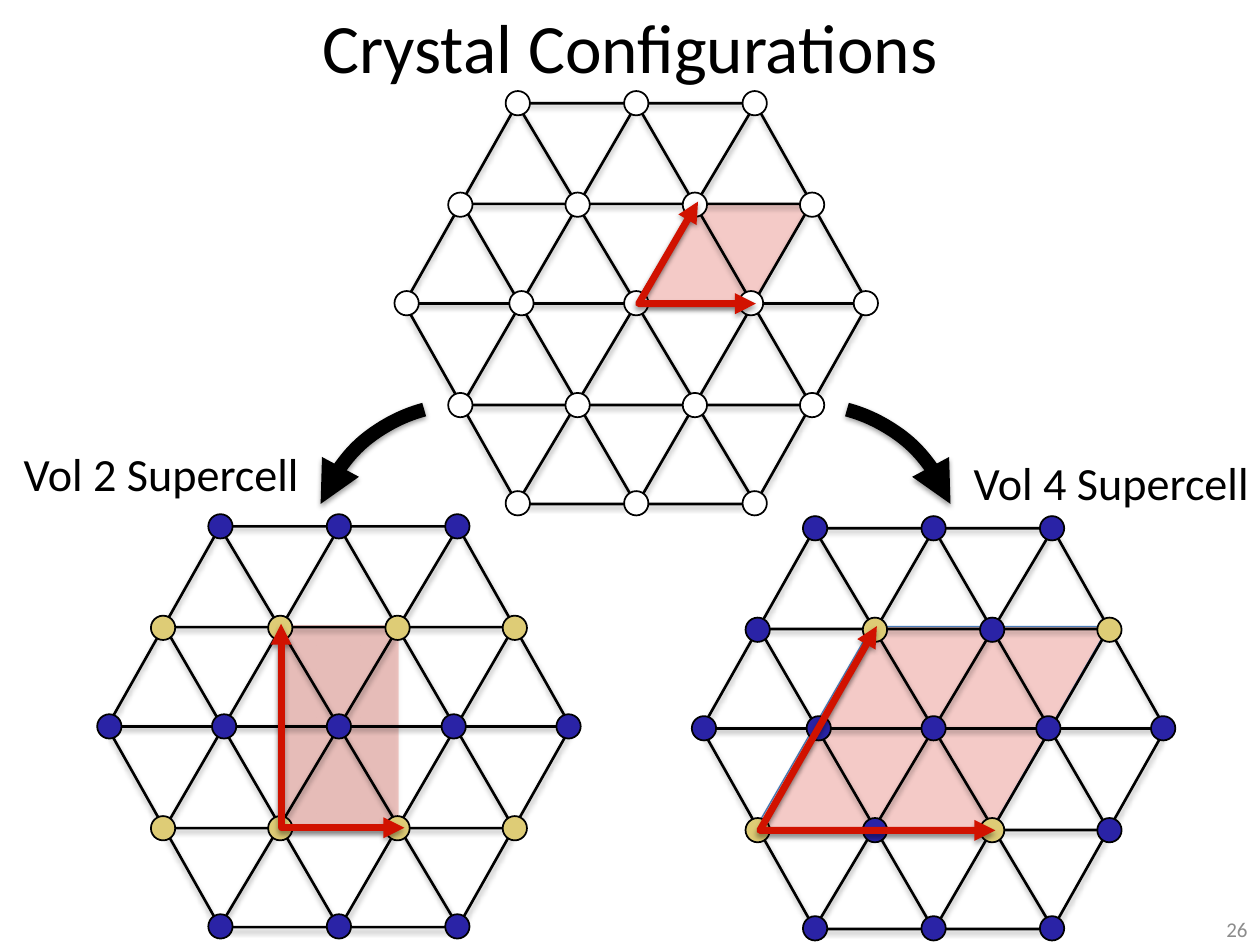
import pptx
import pptx.util
from pptx.dml.color import RGBColor
from pptx.enum.shapes import MSO_CONNECTOR, MSO_SHAPE
from pptx.enum.text import MSO_ANCHOR, PP_ALIGN
from pptx.oxml.ns import qn
from lxml import etree

Pt = pptx.util.Pt
BLACK = RGBColor(0x00, 0x00, 0x00)
WHITE = RGBColor(0xFF, 0xFF, 0xFF)
GRAY = RGBColor(0x8C, 0x8C, 0x8C)
RED = RGBColor(0xD1, 0x12, 0x00)
STEEL = RGBColor(0x4B, 0x7E, 0xBC)
ATOMS = {"W": WHITE, "B": RGBColor(0x2A, 0x23, 0xA6), "Y": RGBColor(0xDE, 0xCC, 0x76)}

# Content: lattices as (left, top, atom rows)
RIGHT_LATTICE = (401, 301.9, ["BBB", "BYBY", "BBBBB", "YBYB", "BBB"])
LEFT_LATTICE = (61.2, 300.8, ["BBB", "YYYY", "BBBBB", "YYYY", "BBB"])
TOP_LATTICE = (231.1, 59, ["WWW", "WWWW", "WWWWW", "WWWW", "WWW"])

# Unit cells: preset, left, top, width, height, line colour
CELLS = [
    (MSO_SHAPE.RECTANGLE, 158.6, 357.2, 69.2, 115.8, None),
    (MSO_SHAPE.PARALLELOGRAM, 365.5, 116.6, 98, 56.2, STEEL),
    (MSO_SHAPE.PARALLELOGRAM, 432, 358, 201.6, 115, STEEL),
]
# Lattice vectors: tip, shared origin, tip
VECTORS = [
    [(398.9, 115.2), (365, 173.5), (432, 173.5)],
    [(501.1, 357.8), (434.2, 474.5), (568.8, 474.5)],
    [(160.6, 356.4), (160.6, 473), (231.1, 473)],
]
# Curved arrows: left, mirrored
CURVES = [(374.4, False), (177.8, True)]
# Text: wording, left, top, width, height, size, colour, alignment
TITLE = ("Crystal Configurations", 0, 1.4, 720, 49.7, 39.6, BLACK, PP_ALIGN.CENTER)
NUMBER = ("26", 570.2, 522, 149.8, 18, 12, GRAY, PP_ALIGN.RIGHT)
LABELS = [
    ("Vol 2 Supercell", 0, 245.5, 184.3, 49.7, 26.4, BLACK, PP_ALIGN.CENTER),
    ("Vol 4 Supercell", 542.9, 250.6, 184.3, 49.7, 26.4, BLACK, PP_ALIGN.CENTER),
]

# Lattice geometry
HEX_WIDTH, HEX_HEIGHT = 265, 229
ROW_OFFSETS = [0, 58, 114.3, 172.5, 228.6]
PITCHES = {3: 67.7, 4: 67, 5: 65.6}
ATOM = 13.9

presentation = pptx.Presentation()
presentation.slide_width, presentation.slide_height = Pt(720), Pt(540)
slide = presentation.slides.add_slide(presentation.slide_layouts[6])


def add_shadow(shape, distance, opacity):
    properties = shape.element.spPr
    for old in properties.findall(qn("a:effectLst")):
        properties.remove(old)
    effects = etree.SubElement(properties, qn("a:effectLst"))
    shadow = etree.SubElement(effects, qn("a:outerShdw"), blurRad=str(int(Pt(3.1))),
                              dist=str(int(Pt(distance))), dir="5400000", rotWithShape="0")
    color = etree.SubElement(shadow, qn("a:srgbClr"), val="000000")
    etree.SubElement(color, qn("a:alpha"), val=str(opacity * 1000))


def add_arrowheads(shape, *ends):
    line = shape.element.spPr.find(qn("a:ln"))
    for end in ends:
        etree.SubElement(line, qn("a:" + end), type="triangle")


def style(shape, fill=None, line=None, weight=1.5):
    shape.shadow.inherit = False
    if fill is None:
        shape.fill.background()
    else:
        shape.fill.solid()
        shape.fill.fore_color.rgb = fill
    if line is None:
        shape.line.fill.background()
    else:
        shape.line.color.rgb = line
        shape.line.width = Pt(weight)


def add_preset(shapes, preset, left, top, width, height, **look):
    shape = shapes.add_shape(preset, Pt(left), Pt(top), Pt(width), Pt(height))
    style(shape, **look)
    return shape


def add_text(text, left, top, width, height, size, color, alignment):
    box = slide.shapes.add_textbox(Pt(left), Pt(top), Pt(width), Pt(height))
    frame = box.text_frame
    frame.word_wrap = True
    frame.vertical_anchor = MSO_ANCHOR.MIDDLE
    frame.text = text
    paragraph = frame.paragraphs[0]
    paragraph.alignment = alignment
    font = paragraph.runs[0].font
    font.name, font.size, font.color.rgb = "Calibri", Pt(size), color


def add_lattice(left, top, rows):
    shapes = slide.shapes.add_group_shape().shapes
    bottom, middle = top + HEX_HEIGHT, top + ROW_OFFSETS[2]
    # Lines through the centre
    for x1, y1, x2, y2 in [(left + 64.2, top, left + 200.8, bottom),
                           (left + 200.8, top, left + 64.2, bottom),
                           (left, middle, left + HEX_WIDTH, middle)]:
        bond = shapes.add_connector(MSO_CONNECTOR.STRAIGHT, Pt(x1), Pt(y1), Pt(x2), Pt(y2))
        bond.line.color.rgb = BLACK
        bond.line.width = Pt(1.5)
        add_shadow(bond, 1.6, 38)
    # Outline and the two large triangles
    hexagon = add_preset(shapes, MSO_SHAPE.HEXAGON, left, top, HEX_WIDTH, HEX_HEIGHT, line=BLACK)
    hexagon.adjustments[0] = 0.282
    add_shadow(hexagon, 1.8, 35)
    for offset, flipped in [(0.4, False), (57.6, True)]:
        triangle = add_preset(shapes, MSO_SHAPE.ISOSCELES_TRIANGLE, left + 33, top + offset,
                              199.4, 172, line=BLACK)
        if flipped:
            triangle.element.spPr.xfrm.set("flipV", "1")
        add_shadow(triangle, 1.8, 35)
    # Atoms, each row centred on the hexagon
    for row, offset in zip(rows, ROW_OFFSETS):
        for index, kind in enumerate(row):
            x = left + HEX_WIDTH / 2 + (index - (len(row) - 1) / 2) * PITCHES[len(row)]
            add_preset(shapes, MSO_SHAPE.OVAL, x - ATOM / 2, top + offset - ATOM / 2,
                       ATOM, ATOM, fill=ATOMS[kind], line=BLACK, weight=1)


# Shaded unit cells
for preset, left, top, width, height, line in CELLS:
    cell = add_preset(slide.shapes, preset, left, top, width, height,
                      fill=RED, line=line, weight=0.75)
    color = cell.element.spPr.find(qn("a:solidFill"))[0]
    etree.SubElement(color, qn("a:alpha"), val="22000")
    if preset == MSO_SHAPE.PARALLELOGRAM:
        cell.adjustments[0] = 0.577
    else:
        add_shadow(cell, 1.8, 35)

# Lattices, title and slide number
add_lattice(*RIGHT_LATTICE)
add_lattice(*LEFT_LATTICE)
add_text(*NUMBER)
add_lattice(*TOP_LATTICE)
add_text(*TITLE)

# Curved arrows to the supercells
for left, mirrored in CURVES:
    curve = add_preset(slide.shapes, MSO_SHAPE.ARC, left, 231.1, 174.2, 174.2,
                       line=BLACK, weight=8)
    curve.adjustments[0], curve.adjustments[1] = 170.98, 203.8
    if mirrored:
        curve.element.spPr.xfrm.set("flipH", "1")
    add_arrowheads(curve, "tailEnd")
    add_shadow(curve, 1.6, 38)

# Lattice vectors
for points in VECTORS:
    start, *rest = [(Pt(x), Pt(y)) for x, y in points]
    builder = slide.shapes.build_freeform(*start)
    builder.add_line_segments(rest, close=False)
    vector = builder.convert_to_shape()
    style(vector, line=RED, weight=4)
    add_arrowheads(vector, "headEnd", "tailEnd")
    add_shadow(vector, 1.6, 38)

# Supercell labels
for label in LABELS:
    add_text(*label)

presentation.save("out.pptx")
